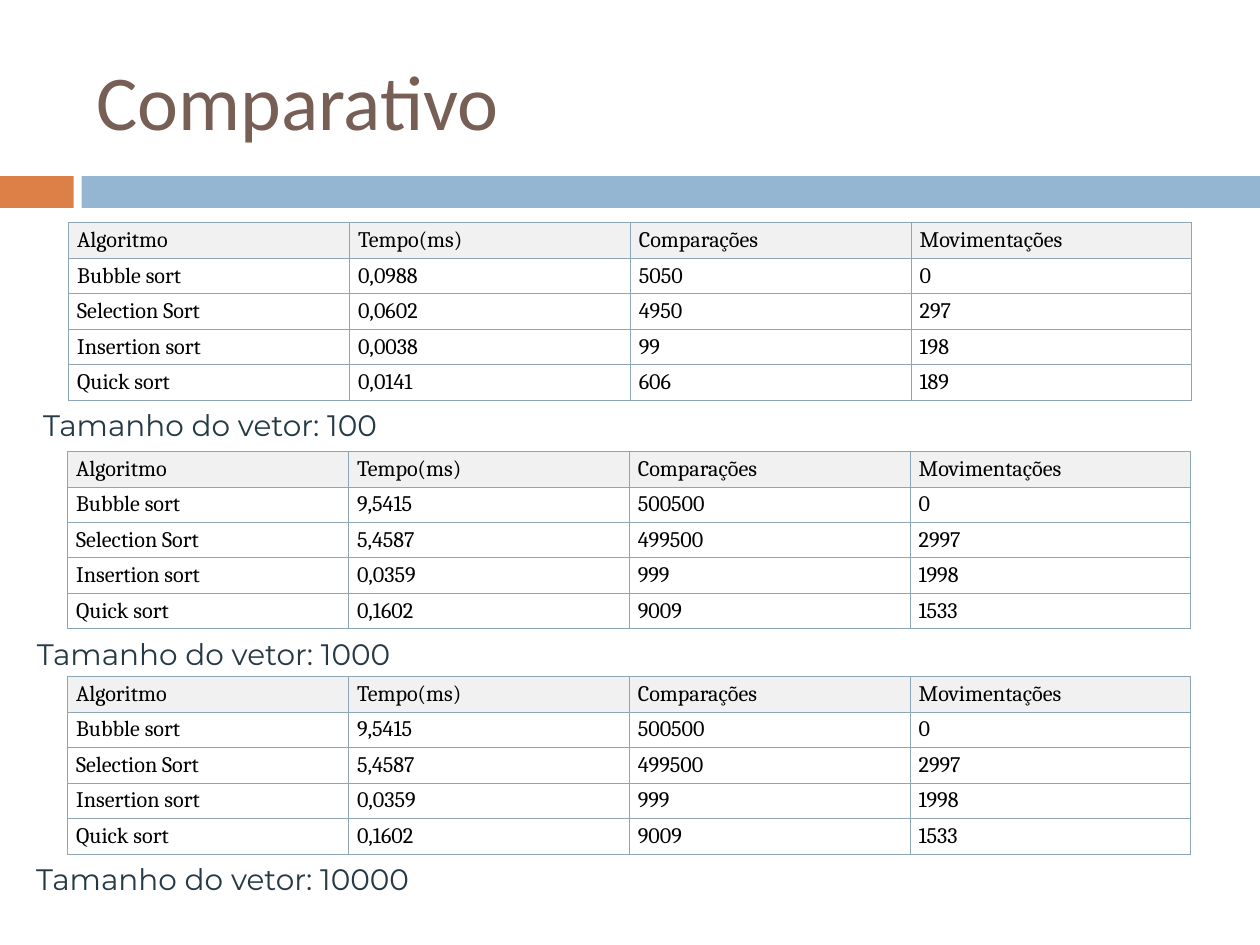
import pptx
import pptx.dml.color
import pptx.enum.shapes
import pptx.enum.text
import pptx.oxml
import pptx.oxml.ns
import pptx.util

Cm = pptx.util.Cm
Pt = pptx.util.Pt
ANCHOR = pptx.enum.text.MSO_ANCHOR

COLORS = {
    "orange": "DD8047",
    "blue": "94B6D2",
    "title": "775F55",
    "caption": "253A44",
    "cell": "000000",
    "header": "F1F1F1",
    "border": "8CA6B5",
}
FORMATS = {
    "title": {"name": "Calibri", "size": Pt(63), "bold": False},
    "caption": {"name": "Montserrat", "size": Pt(24), "bold": False},
    "cell": {"name": "Cambria", "size": Pt(18), "bold": False},
}
HEADER = ("Algoritmo", "Tempo(ms)", "Comparações", "Movimentações")
RESULTS_100 = (
    ("Bubble sort", "0,0988", "5050", "0"),
    ("Selection Sort", "0,0602", "4950", "297"),
    ("Insertion sort", "0,0038", "99", "198"),
    ("Quick sort", "0,0141", "606", "189"),
)
RESULTS_1000 = (
    ("Bubble sort", "9,5415", "500500", "0"),
    ("Selection Sort", "5,4587", "499500", "2997"),
    ("Insertion sort", "0,0359", "999", "1998"),
    ("Quick sort", "0,1602", "9009", "1533"),
)
SLIDE_WIDTH, SLIDE_HEIGHT = 36.12, 27.08
TABLE_WIDTH, TABLE_HEIGHT = 32.2, 5.08
CAPTION_OFFSET, CAPTION_HEIGHT = 5.17, 1.27
# Vector size, results, table left and top, caption left and width
COMPARISONS = (
    (100, RESULTS_100, 1.96, 6.38, 0.99, 10.13),
    (1000, RESULTS_1000, 1.93, 12.93, 0.81, 10.69),
    (10000, RESULTS_1000, 1.93, 19.38, 0.79, 11.25),
)


def rgb(color):
    return pptx.dml.color.RGBColor.from_string(COLORS[color])


def write(frame, text, style):
    """Put one run of text in the frame, in the named style."""
    span = frame.paragraphs[0].add_run()
    span.text = text
    for key, value in FORMATS[style].items():
        setattr(span.font, key, value)
    span.font.color.rgb = rgb(style)


def add_band(page, left, top, width, height):
    gap_start, gap_end = left + 2.11, left + 2.34
    parts = (
        ("orange", left, gap_start),
        ("blue", gap_end, left + width),
    )
    for color, start, end in parts:
        bar = page.shapes.add_shape(
            pptx.enum.shapes.MSO_SHAPE.RECTANGLE,
            Cm(start), Cm(top), Cm(end - start), Cm(height),
        )
        bar.shadow.inherit = False
        bar.fill.solid()
        bar.fill.fore_color.rgb = rgb(color)
        bar.line.fill.background()


def add_title(page, left, top, width, height):
    box = page.shapes.add_textbox(Cm(left), Cm(top), Cm(width), Cm(height))
    frame = box.text_frame
    settings = {
        "word_wrap": True,
        "vertical_anchor": ANCHOR.MIDDLE,
        "margin_left": Cm(0.36),
        "margin_right": Cm(0.36),
        "margin_top": Cm(0.18),
        "margin_bottom": Cm(0.18),
    }
    for key, value in settings.items():
        setattr(frame, key, value)
    write(frame, "Comparativo", "title")


def add_borders(cell):
    properties = cell._tc.get_or_add_tcPr()
    for side in ("lnL", "lnR", "lnT", "lnB"):
        properties.append(pptx.oxml.parse_xml(
            f'<a:{side} {pptx.oxml.ns.nsdecls("a")} w="{Pt(0.34)}"><a:solidFill>'
            f'<a:srgbClr val="{COLORS["border"]}"/></a:solidFill></a:{side}>'
        ))


def add_results(page, results, left, top, width, height):
    rows = (HEADER, *results)
    table = page.shapes.add_table(
        len(rows), len(HEADER), Cm(left), Cm(top), Cm(width), Cm(height)
    ).table
    table.first_row = False
    table.horz_banding = False
    for row_index, row in enumerate(rows):
        for column_index, text in enumerate(row):
            cell = table.cell(row_index, column_index)
            cell.vertical_anchor = ANCHOR.MIDDLE
            add_borders(cell)
            if row_index == 0:
                cell.fill.solid()
                cell.fill.fore_color.rgb = rgb("header")
            else:
                cell.fill.background()
            write(cell.text_frame, text, "cell")


def add_caption(page, vector_size, left, top, width, height):
    box = page.shapes.add_textbox(Cm(left), Cm(top), Cm(width), Cm(height))
    box.text_frame.word_wrap = False
    box.text_frame.auto_size = pptx.enum.text.MSO_AUTO_SIZE.SHAPE_TO_FIT_TEXT
    write(box.text_frame, f"Tamanho do vetor: {vector_size}", "caption")


def main():
    deck = pptx.Presentation()
    deck.slide_width, deck.slide_height = Cm(SLIDE_WIDTH), Cm(SLIDE_HEIGHT)
    page = deck.slides.add_slide(deck.slide_layouts[6])
    add_band(page, 0, 5.05, SLIDE_WIDTH, 0.91)
    add_title(page, 2.41, 0.91, 32.21, 3.91)
    for vector_size, results, left, top, caption_left, caption_width in COMPARISONS:
        add_results(page, results, left, top, TABLE_WIDTH, TABLE_HEIGHT)
        add_caption(page, vector_size, caption_left, top + CAPTION_OFFSET,
                    caption_width, CAPTION_HEIGHT)
    deck.save("out.pptx")


if __name__ == "__main__":
    main()
